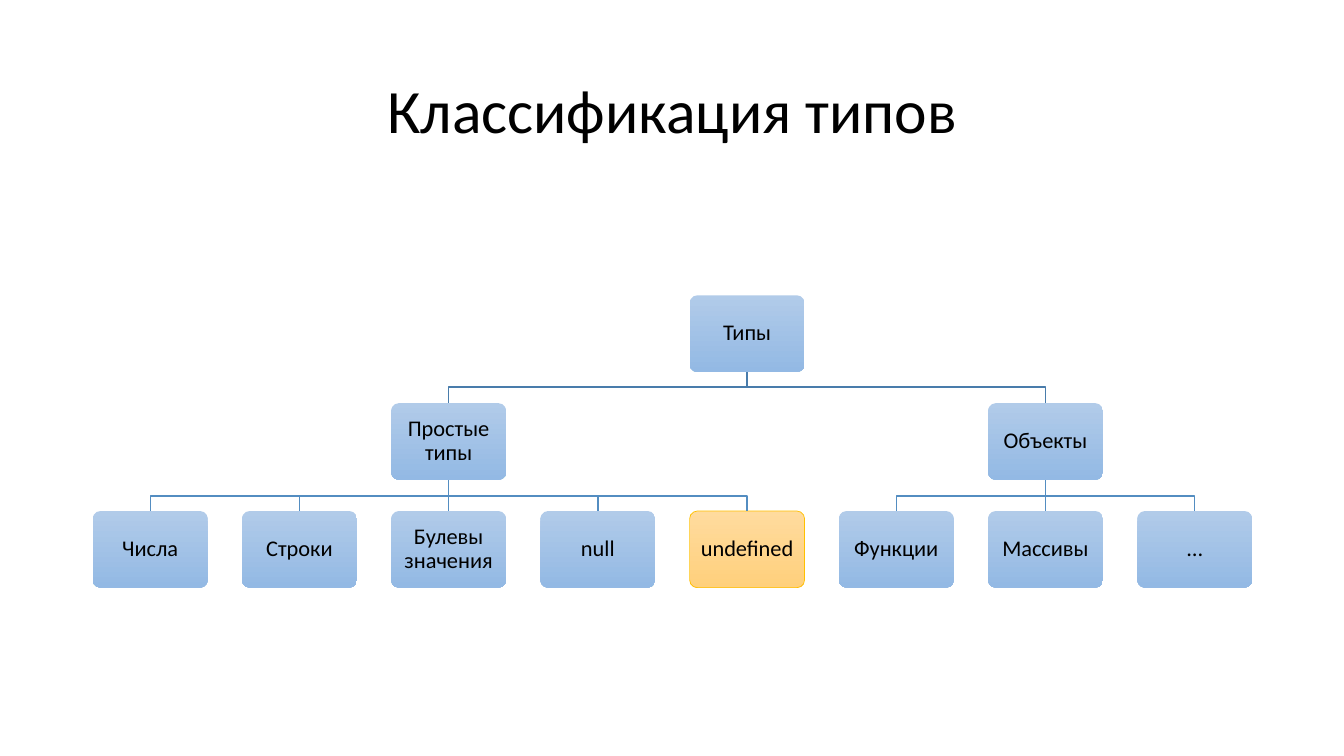
from pptx import Presentation
from pptx.dml.color import RGBColor
from pptx.enum.shapes import MSO_CONNECTOR, MSO_SHAPE
from pptx.enum.text import MSO_ANCHOR, PP_ALIGN
from pptx.oxml.ns import qn
from pptx.util import Pt
from lxml import etree

PX = 9144  # EMU per px, 100 px to the inch
SLIDE_W, SLIDE_H = 1333, 750
TITLE_BOX = (92, 40, 1150, 145)
TREE_BOX = (92, 293, 1150, 290)

NODE_W, NODE_H = 114, 76
COLUMN_PITCH, ROW_PITCH = 148, 107
NODE_INSET = 6

BLACK = RGBColor(0x00, 0x00, 0x00)
BLUE = (RGBColor(0xB1, 0xCB, 0xE9), RGBColor(0x93, 0xB9, 0xE4))
ORANGE = (RGBColor(0xFF, 0xDB, 0x9E), RGBColor(0xFF, 0xD0, 0x7C))
ORANGE_EDGE = RGBColor(0xFF, 0xC0, 0x00)
BRANCH_COLORS = (RGBColor(0x49, 0x7C, 0xAB), RGBColor(0x53, 0x8D, 0xC1))

TITLE_FONT = {"name": "Calibri", "size": Pt(44)}
NODE_FONT = {"name": "Calibri", "size": Pt(16)}
PARAGRAPH = {"alignment": PP_ALIGN.CENTER, "line_spacing": 0.9}
NODE_FRAME = {"word_wrap": True, "vertical_anchor": MSO_ANCHOR.MIDDLE}
NODE_FRAME.update({f"margin_{side}": NODE_INSET * PX
                   for side in ("left", "top", "right", "bottom")})

HIGHLIGHTED = "undefined"
TYPES = ("Типы", [
    ("Простые типы", [
        ("Числа", []), ("Строки", []), ("Булевы значения", []),
        ("null", []), (HIGHLIGHTED, [])]),
    ("Объекты", [("Функции", []), ("Массивы", []), ("…", [])]),
])


def apply(target, values):
    for name, value in values.items():
        setattr(target, name, value)


def write(frame, wording, font):
    frame.text = wording
    paragraph = frame.paragraphs[0]
    apply(paragraph, PARAGRAPH)
    apply(paragraph.font, font)
    paragraph.font.color.rgb = BLACK


def add_title(slide, box, wording):
    title = slide.shapes.title
    apply(title, dict(zip(("left", "top", "width", "height"),
                          (length * PX for length in box))))
    title.text_frame.vertical_anchor = MSO_ANCHOR.MIDDLE
    write(title.text_frame, wording, TITLE_FONT)


def add_node(slide, left, top, label):
    node = slide.shapes.add_shape(
        MSO_SHAPE.ROUNDED_RECTANGLE,
        round(left * PX), top * PX, NODE_W * PX, NODE_H * PX)
    node.adjustments[0] = 0.1
    node.shadow.inherit = False
    node.fill.gradient()
    node.fill.gradient_angle = 270
    shades = ORANGE if label == HIGHLIGHTED else BLUE
    for stop, shade, position in zip(node.fill.gradient_stops, shades, (0, 1)):
        stop.color.rgb = shade
        stop.position = position
    if label == HIGHLIGHTED:
        node.line.color.rgb = ORANGE_EDGE
        node.line.width = Pt(0.5)
    else:
        node.line.fill.background()
    apply(node.text_frame, NODE_FRAME)
    write(node.text_frame, label, NODE_FONT)


def add_branch(slide, parent_x, child_x, top, color):
    bottom = top + ROW_PITCH - NODE_H
    straight = parent_x == child_x
    if straight:
        branch = slide.shapes.add_connector(
            MSO_CONNECTOR.STRAIGHT, round(parent_x * PX), top * PX,
            round(child_x * PX), bottom * PX)
    else:
        middle = (top + bottom) / 2
        outline = slide.shapes.build_freeform(parent_x, top, scale=PX)
        outline.add_line_segments(
            [(parent_x, middle), (child_x, middle), (child_x, bottom)], close=False)
        branch = outline.convert_to_shape()
        branch.fill.background()
        branch.shadow.inherit = False
    branch.line.color.rgb = color
    branch.line.width = Pt(1)
    if straight:
        etree.SubElement(branch._element.spPr, qn("a:effectLst"))


def add_subtree(slide, tree, box, depth=0, column=0):
    """Draw a node centred over its children; return its column and the next free one."""
    label, children = tree
    left, top = box[0], box[1] + depth * ROW_PITCH
    child_columns, free_column = [], column
    for child in children:
        child_column, free_column = add_subtree(slide, child, box, depth + 1, free_column)
        child_columns.append(child_column)
    if children:
        column = (child_columns[0] + child_columns[-1]) / 2
    else:
        free_column += 1

    def center(place):
        return left + place * COLUMN_PITCH + NODE_W / 2

    for child_column in child_columns:
        add_branch(slide, center(column), center(child_column), top + NODE_H,
                   BRANCH_COLORS[depth])
    add_node(slide, left + column * COLUMN_PITCH, top, label)
    return column, free_column


def main():
    deck = Presentation()
    deck.slide_width, deck.slide_height = SLIDE_W * PX, SLIDE_H * PX
    slide = deck.slides.add_slide(deck.slide_layouts[5])
    # Heading
    add_title(slide, TITLE_BOX, "Классификация типов")
    # Tree of types
    add_subtree(slide, TYPES, TREE_BOX)
    deck.save("out.pptx")


if __name__ == "__main__":
    main()
